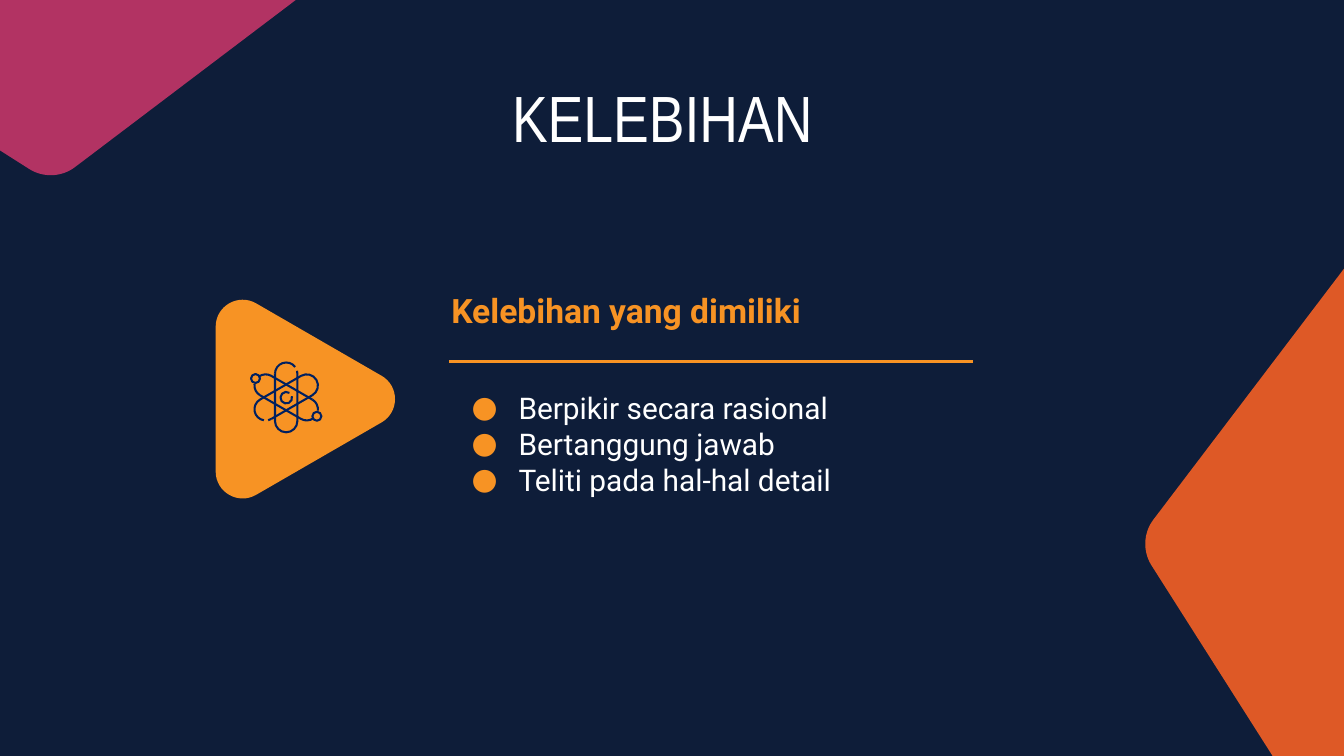
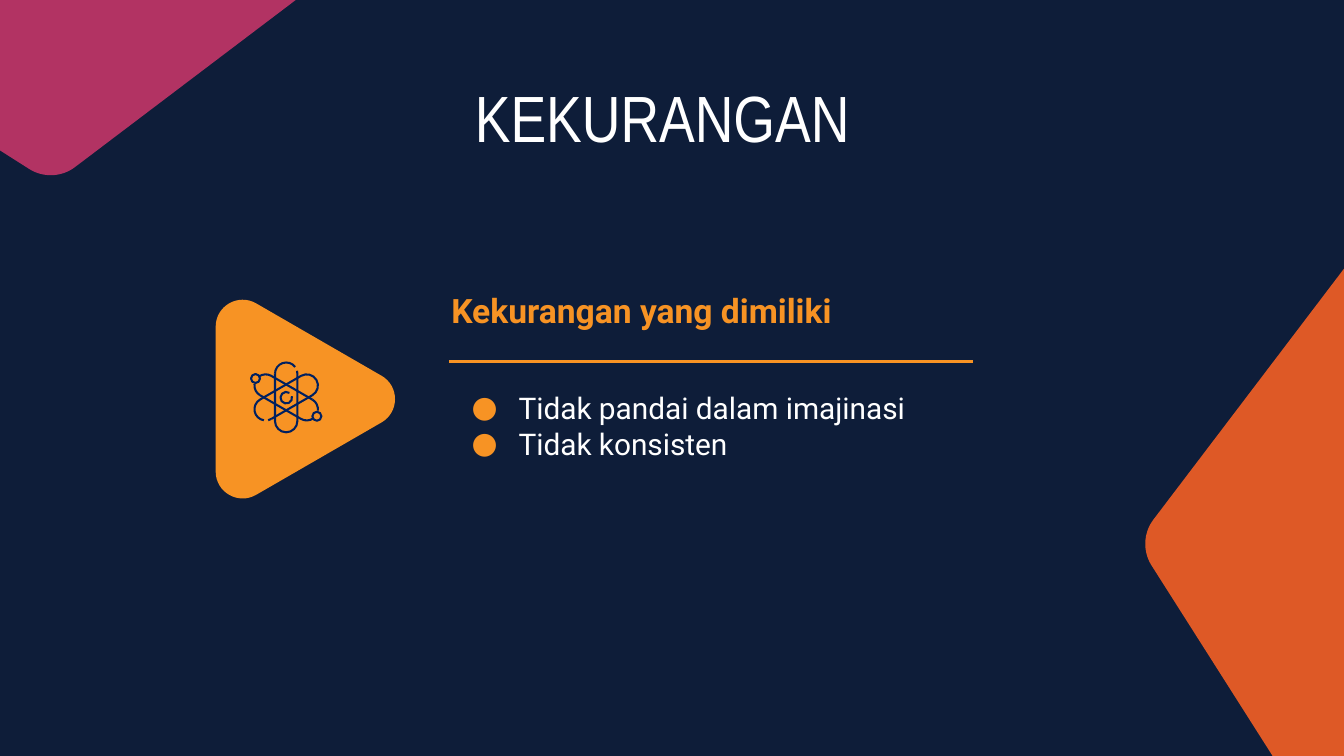
import math
from dataclasses import dataclass

from lxml import etree
from pptx import Presentation
from pptx.dml.color import RGBColor
from pptx.enum.shapes import MSO_CONNECTOR
from pptx.enum.text import MSO_ANCHOR, PP_ALIGN
from pptx.oxml.ns import qn
from pptx.util import Pt

STRAIGHT = MSO_CONNECTOR.STRAIGHT
TOP, MIDDLE = MSO_ANCHOR.TOP, MSO_ANCHOR.MIDDLE
LEFT, CENTER = PP_ALIGN.LEFT, PP_ALIGN.CENTER


@dataclass(frozen=True)
class Theme:
    navy: str = "0E1D39"
    ink: str = "002060"
    orange: str = "DE5926"
    magenta: str = "B23363"
    amber: str = "F79324"
    white: str = "FFFFFF"
    title_font: str = "Arial Narrow"
    body_font: str = "Roboto"
    title_size: float = 35
    heading_size: float = 18
    body_size: float = 16
    inset: float = 7.2
    rule_width: float = 1.5
    icon_width: float = 1.1


T = Theme()
WIDTH, HEIGHT = 720, 405

SLIDES = [
    ("KELEBIHAN", "Kelebihan yang dimiliki",
     ["Berpikir secara rasional", "Bertanggung jawab", "Teliti pada hal-hal detail"]),
    ("KEKURANGAN", "Kekurangan yang dimiliki",
     ["Tidak pandai dalam imajinasi", "Tidak konsisten"]),
]


def rgb(color):
    return RGBColor.from_string(color)


def add_bullet(p, color):
    pPr = p._p.get_or_add_pPr()
    pPr.set("marL", str(Pt(36)))
    pPr.set("indent", str(Pt(-25.2)))
    bu_clr = etree.SubElement(pPr, qn("a:buClr"))
    etree.SubElement(bu_clr, qn("a:srgbClr"), val=color)
    etree.SubElement(pPr, qn("a:buFont"), typeface=T.body_font)
    etree.SubElement(pPr, qn("a:buChar"), char="●")


def add_text(slide, box, lines, *, size, color, font=T.body_font, bold=False,
             align=LEFT, anchor=MIDDLE, bullet=None):
    sp = slide.shapes.add_textbox(*map(Pt, box))
    tf = sp.text_frame
    tf.word_wrap = True
    tf.vertical_anchor = anchor
    tf.margin_left = tf.margin_right = tf.margin_top = tf.margin_bottom = Pt(T.inset)
    for i, line in enumerate(lines):
        p = tf.paragraphs[0] if i == 0 else tf.add_paragraph()
        p.alignment = align
        if bullet:
            add_bullet(p, bullet)
        r = p.add_run()
        r.text = line
        r.font.name, r.font.size, r.font.bold = font, Pt(size), bold
        r.font.color.rgb = rgb(color)
    return sp


def add_command(path_el, tag, pts):
    command = etree.SubElement(path_el, qn(tag))
    for x, y in pts:
        etree.SubElement(command, qn("a:pt"), x=str(Pt(x)), y=str(Pt(y)))


def add_outline(shapes, box, contours, *, fill=None, line=None, rotation=0):
    x, y, w, h = map(Pt, box)
    builder = shapes.build_freeform(x, y, scale=1.0)
    builder.add_line_segments([(x + w, y), (x + w, y + h), (x, y + h)])
    sp = builder.convert_to_shape()
    path_el = next(sp._element.iter(qn("a:path")))
    for command in list(path_el):
        path_el.remove(command)
    for start, *segments in contours:
        add_command(path_el, "a:moveTo", [start])
        for pts in segments:
            add_command(path_el, "a:lnTo" if len(pts) == 1 else "a:cubicBezTo", pts)
        if fill:
            add_command(path_el, "a:close", [])
    sp.rotation = rotation
    sp.shadow.inherit = False
    if fill:
        sp.fill.solid()
        sp.fill.fore_color.rgb = rgb(fill)
        sp.line.fill.background()
    else:
        sp.fill.background()
        sp.line.color.rgb = rgb(line)
        sp.line.width = Pt(T.icon_width)
    return sp


def toward(a, b, distance):
    t = distance / math.dist(a, b)
    return a[0] + (b[0] - a[0]) * t, a[1] + (b[1] - a[1]) * t


def rounded(corners):
    segments = []
    for i, (x, y, cut) in enumerate(corners):
        corner = x, y
        if not cut:
            segments.append([corner])
            continue
        before, after = corners[i - 1][:2], corners[(i + 1) % len(corners)][:2]
        start, end = toward(corner, before, cut), toward(corner, after, cut)
        half_turn = math.acos(math.dist(start, end) / (2 * cut))
        handle = cut * (1 - 4 / 3 * math.tan(half_turn / 2) / math.tan(half_turn))
        segments += [[start], [toward(corner, before, handle),
                               toward(corner, after, handle), end]]
    return [segments[0][0]] + segments[1:]


def polar(center, radius, degrees):
    a = math.radians(degrees)
    return center[0] + radius * math.cos(a), center[1] + radius * math.sin(a)


def arc(center, radius, start, end):
    count = math.ceil((end - start) / 90)
    step = (end - start) / count
    bulge = 4 / 3 * math.tan(math.radians(step / 4))
    reach, lean = math.hypot(1, bulge) * radius, math.degrees(math.atan(bulge))
    contour = [polar(center, radius, start)]
    for k in range(count):
        a, b = start + k * step, start + (k + 1) * step
        contour.append([polar(center, reach, a + lean), polar(center, reach, b - lean),
                        polar(center, radius, b)])
    return contour


def add_atom(slide, x, y):
    w, h = 40.3, 38.9
    middle = w / 2, h / 2 - 0.2
    reach, radius = 12.7, 6
    gaps = {30: (-23, 23), 150: (-73, -51), 210: (-23, 23), 270: (53, 75)}
    contours = [arc(polar(middle, 19.3, a), 2.4, 0, 360) for a in (31.6, 211.6)]
    for direction in range(30, 390, 60):
        lobe = polar(middle, reach, direction)
        opposite = polar(middle, reach, direction + 180)
        last = -90
        if direction in gaps:
            first_end, last = gaps[direction]
            contours.append(arc(lobe, radius, direction - 90, direction + first_end))
        contours.append(arc(lobe, radius, direction + last, direction + 90)
                        + [[polar(opposite, radius, direction + 90)]])
    shapes = slide.shapes.add_group_shape().shapes
    add_outline(shapes, (x + 16.6, y + 15.8, 7.2, 7.2),
                [arc((3.6, 3.6), 3.1, -15, 303)], line=T.ink)
    add_outline(shapes, (x, y, w, h), contours, line=T.ink)


def add_backdrop(slide):
    slide.background.fill.solid()
    slide.background.fill.fore_color.rgb = rgb(T.navy)
    cut = 15
    right = [(217.4, 0, 0), (-3.1, 290.3, cut), (69.8, HEIGHT, 0),
             (247.7, HEIGHT, 0), (247.7, 0, 0)]
    corner = [(0, 0, 0), (181.7, 240, cut), (110.9, 351.4, 0), (0, 351.4, 0)]
    add_outline(slide.shapes, (612, 0, 247.7, HEIGHT), [rounded(right)], fill=T.orange)
    add_outline(slide.shapes, (2.9, -169.2, 179.3, 351.4), [rounded(corner)],
                fill=T.magenta, rotation=90)


def add_badge(slide, x, y):
    triangle = [(-9.4, 95.8, 25), (54.4, -14.7, 25), (118.2, 95.8, 25)]
    add_outline(slide.shapes, (x, y, 110.9, 95.8), [rounded(triangle)],
                fill=T.amber, rotation=90)
    add_atom(slide, x + 25.2, y + 26.7)


def add_points(slide, x, y, width, heading, points):
    add_text(slide, (x, y, width, 39.6), [heading],
             size=T.heading_size, color=T.amber, bold=True)
    add_text(slide, (x, y + 55.4, width, 151.2), points,
             size=T.body_size, color=T.white, anchor=TOP, bullet=T.amber)
    rule_x, rule_y = x + 5.8, y + 47.5
    rule = slide.shapes.add_connector(
        STRAIGHT, Pt(rule_x), Pt(rule_y), Pt(rule_x + 280.8), Pt(rule_y))
    rule.line.color.rgb = rgb(T.amber)
    rule.line.width = Pt(T.rule_width)
    etree.SubElement(rule._element.spPr, qn("a:effectLst"))


def add_trait_slide(prs, title, heading, points):
    slide = prs.slides.add_slide(prs.slide_layouts[6])
    add_backdrop(slide)
    add_badge(slide, 108, 167)
    add_text(slide, (234.7, 42.5, 240.5, 39.6), [title], size=T.title_size,
             color=T.white, font=T.title_font, align=CENTER)
    add_points(slide, 234.7, 146.2, 286.6, heading, points)


def main():
    prs = Presentation()
    prs.slide_width, prs.slide_height = Pt(WIDTH), Pt(HEIGHT)
    for title, heading, points in SLIDES:
        add_trait_slide(prs, title, heading, points)
    prs.save("out.pptx")


if __name__ == "__main__":
    main()
